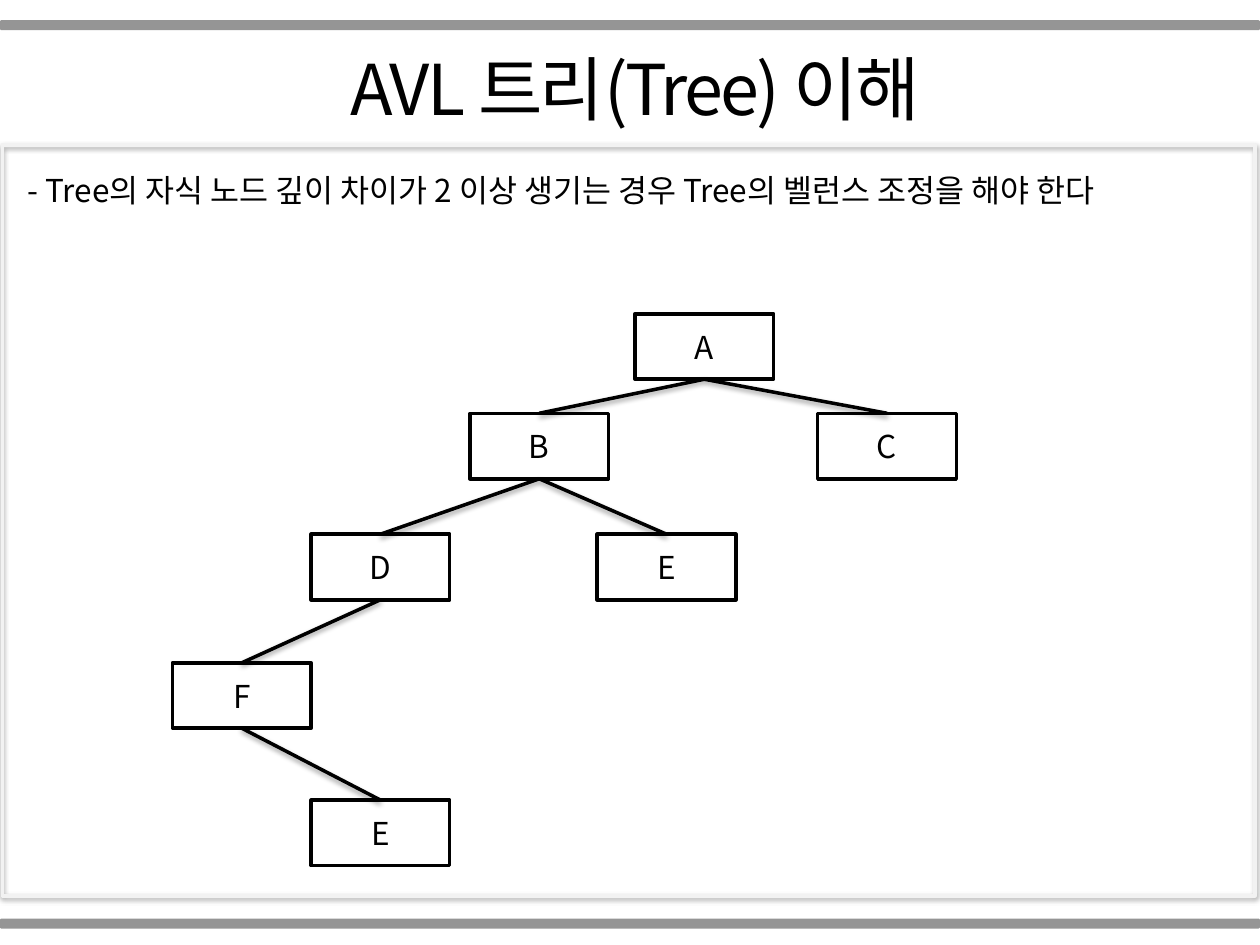
from dataclasses import dataclass
from lxml import etree
from pptx import Presentation
from pptx import util as u
from pptx.dml.color import RGBColor
from pptx.enum import shapes, text
from pptx.oxml.ns import qn


@dataclass(frozen=True)
class Theme:
    font: str = "Noto Sans CJK KR"
    ink: str = "000000"
    paper: str = "FFFFFF"
    edge: str = "F2F2F2"
    bar: str = "808080"
    head: int = 40
    body: int = 18
    line: int = 2


T = Theme()
IN = u.Inches


def rgb(hue):
    return RGBColor.from_string(hue)


def sub(node, tag, **attrs):
    return etree.SubElement(node, qn(tag), attrs)


def shade(shape):
    """Give a shape or connector a soft shadow below it."""
    fx = sub(shape._element.spPr, "a:effectLst")
    drop = sub(fx, "a:outerShdw", blurRad=str(u.Pt(3.1)), dist=str(u.Pt(1.6)),
               dir="5400000", rotWithShape="0")
    hue = sub(drop, "a:srgbClr", val=T.ink)
    sub(hue, "a:alpha", val="38000")


def write(shape, words, size=T.body, align=text.PP_ALIGN.LEFT,
          anchor=text.MSO_ANCHOR.TOP, track=None):
    frame = shape.text_frame
    frame.word_wrap = True
    frame.auto_size = text.MSO_AUTO_SIZE.NONE
    frame.vertical_anchor = anchor
    para = frame.paragraphs[0]
    para.alignment = align
    para.space_before = u.Pt(0)
    run = para.add_run()
    run.text = words
    run.font.size = u.Pt(size)
    run.font.name = T.font
    run.font.color.rgb = rgb(T.ink)
    props = run.font._element
    sub(props, "a:ea", typeface=T.font)
    if track is not None:
        props.set("spc", str(int(track * 100)))
    return para


def place(shape, box):
    shape.left, shape.top, shape.width, shape.height = map(IN, box)


def block(slide, kind, box, fill=None, line=None):
    shape = slide.shapes.add_shape(kind, *map(IN, box))
    if fill:
        shape.fill.solid()
        shape.fill.fore_color.rgb = rgb(fill)
    else:
        shape.fill.background()
    if line:
        shape.line.color.rgb = rgb(line)
        shape.line.width = u.Pt(T.line)
    else:
        shape.line.fill.background()
    return shape


def bars(slide, box):
    """Rounded bars along the top and bottom of the box."""
    x, y, w, h = box
    thick = 0.08
    for top in (y, y + h - thick):
        bar = block(slide, shapes.MSO_SHAPE.ROUNDED_RECTANGLE,
                    (x, top, w, thick), fill=T.bar)
        bar.shadow.inherit = False
        hue = bar._element.spPr.find(qn("a:solidFill"))[0]
        sub(hue, "a:alpha", val="83000")


def panel(slide, box):
    """Framed area with its title above and its statement inside."""
    x, y, w, h = box
    shade(block(slide, shapes.MSO_SHAPE.RECTANGLE, box, line=T.edge))

    title = slide.shapes.title
    place(title, (x, y - 0.84, w, 0.77))
    write(title, " AVL 트리(Tree) 이해", size=T.head,
          align=text.PP_ALIGN.CENTER, track=-1.5)

    body = slide.placeholders[1]
    place(body, (x + 0.1, y + 0.16, 9.88, 0.4))
    para = write(body, "- Tree의 자식 노드 깊이 차이가 2 이상 생기는 경우 "
                       "Tree의 벨런스 조정을 해야 한다")
    props = para._p.get_or_add_pPr()
    props.set("marL", "0")
    props.set("indent", "0")
    sub(props, "a:buNone")


def tree(slide, box):
    """Binary tree: each node has a label, a place, and a parent index."""
    x, y, wide, high = box[0], box[1], 1.1, 0.52
    rows = (0, 0.79, 1.75, 2.77, 3.86)
    plan = [("A", 3.67, 0, None), ("B", 2.36, 1, 0), ("C", 5.12, 1, 0),
            ("D", 1.1, 2, 1), ("E", 3.37, 2, 1), ("F", 0, 3, 3),
            ("E", 1.1, 4, 5)]
    nodes = []
    for label, dx, row, up in plan:
        node = block(slide, shapes.MSO_SHAPE.RECTANGLE,
                     (x + dx, y + rows[row], wide, high), T.paper, T.ink)
        node.shadow.inherit = False
        write(node, label, align=text.PP_ALIGN.CENTER,
              anchor=text.MSO_ANCHOR.MIDDLE)
        nodes.append(node)
        if up is not None:
            # Bottom centre of the parent to top centre of the child
            link = slide.shapes.add_connector(
                shapes.MSO_CONNECTOR.STRAIGHT, 0, 0, 0, 0)
            link.begin_connect(nodes[up], 2)
            link.end_connect(node, 0)
            link.line.color.rgb = rgb(T.ink)
            link.line.width = u.Pt(T.line)
            shade(link)


deck = Presentation()
deck.slide_width, deck.slide_height = IN(10), IN(7.5)
page = deck.slides.add_slide(deck.slide_layouts[1])
bars(page, (0, 0.16, 10, 7.21))
panel(page, (0.02, 1.15, 9.94, 5.96))
tree(page, (1.37, 2.49, 6.22, 4.38))
deck.save("out.pptx")
